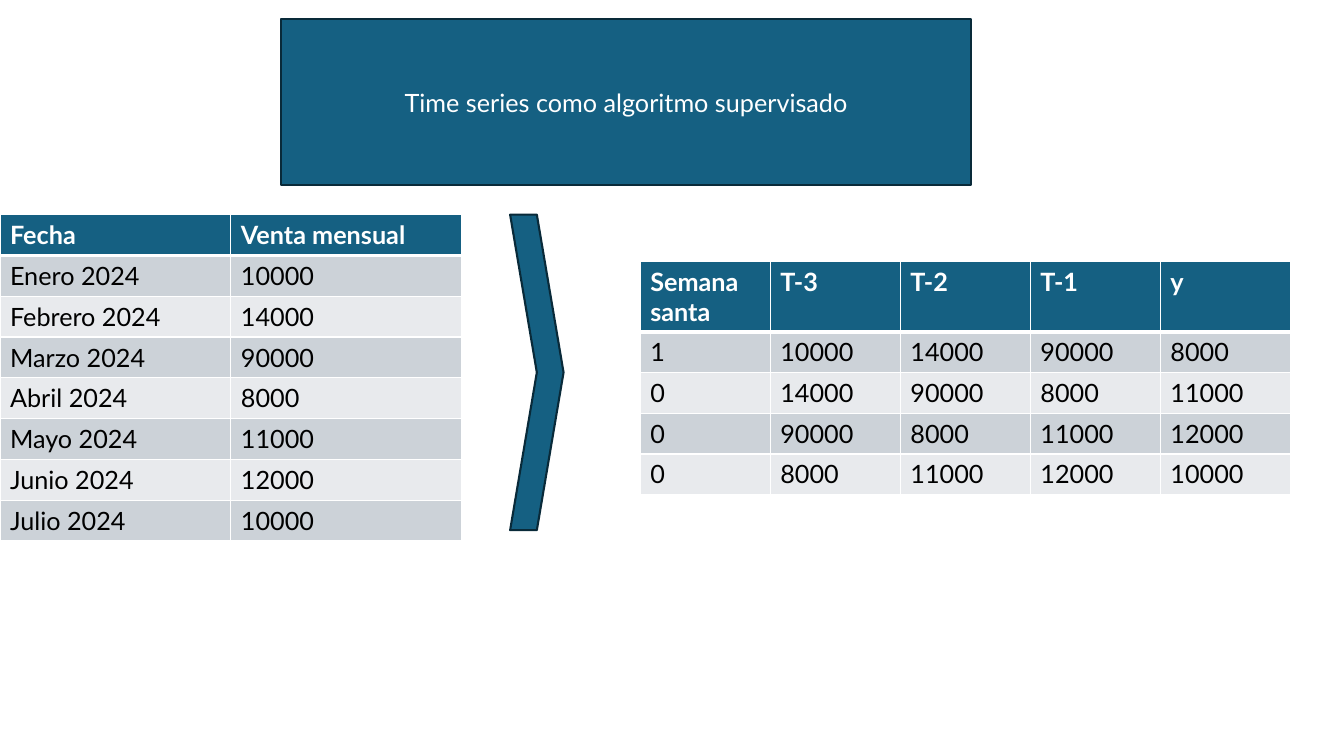
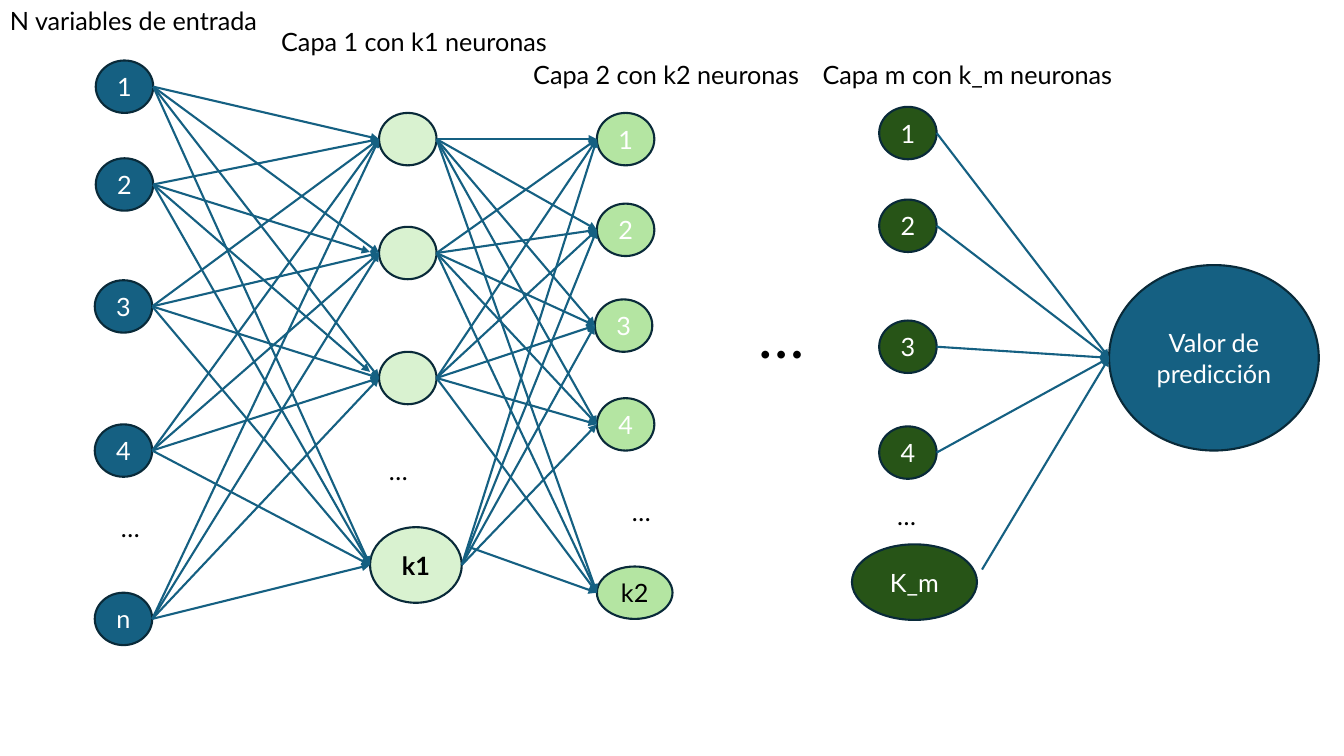
import itertools

import lxml.etree
import pptx
import pptx.dml.color
import pptx.enum.shapes
import pptx.enum.text
import pptx.oxml.ns
import pptx.util

Inches = pptx.util.Inches
RGBColor = pptx.dml.color.RGBColor
ALIGN = pptx.enum.text.PP_ALIGN
ANCHOR = pptx.enum.text.MSO_ANCHOR
SHAPE = pptx.enum.shapes.MSO_SHAPE
qn = pptx.oxml.ns.qn

BLUE = RGBColor(0x15, 0x60, 0x82)
OUTLINE = RGBColor(0x09, 0x2A, 0x39)
WHITE = RGBColor(0xFF, 0xFF, 0xFF)
BLACK = RGBColor(0x00, 0x00, 0x00)
BAND_DARK = RGBColor(0xCC, 0xD2, 0xD8)
BAND_LIGHT = RGBColor(0xE8, 0xEA, 0xED)
GREEN_PALE = RGBColor(0xD9, 0xF2, 0xD0)
GREEN_LIGHT = RGBColor(0xB4, 0xE5, 0xA2)
GREEN_DARK = RGBColor(0x27, 0x54, 0x17)
FONT = "Lato"
LINE_WIDTH = pptx.util.Pt(1.5)
ROW_HEIGHT = Inches(3.24 / 8)


def write(text_frame, text, size=18, color=BLACK, bold=False, align=ALIGN.LEFT, anchor=ANCHOR.TOP):
    text_frame.word_wrap = True
    text_frame.vertical_anchor = anchor
    paragraph = text_frame.paragraphs[0]
    paragraph.alignment = align
    run = paragraph.add_run()
    run.text = text
    run.font.name = FONT
    run.font.size = pptx.util.Pt(size)
    run.font.bold = bold
    run.font.color.rgb = color


def paint(shape, fill):
    shape.shadow.inherit = False
    shape.fill.solid()
    shape.fill.fore_color.rgb = fill
    shape.line.color.rgb = OUTLINE
    shape.line.width = LINE_WIDTH


presentation = pptx.Presentation()
presentation.slide_width = Inches(13.33)
presentation.slide_height = Inches(7.5)
title_only_layout = presentation.slide_layouts[5]
blank_layout = presentation.slide_layouts[6]

slide = presentation.slides.add_slide(title_only_layout)
title = slide.shapes.title
title.left, title.top = Inches(2.79), Inches(0.19)
title.width, title.height = Inches(6.84), Inches(1.65)
title.text_frame.auto_size = pptx.enum.text.MSO_AUTO_SIZE.NONE
write(title.text_frame, "Time series como algoritmo supervisado",
      color=WHITE, align=ALIGN.CENTER, anchor=ANCHOR.MIDDLE)
chevron = slide.shapes.add_shape(
    SHAPE.CHEVRON, Inches(5.06), Inches(2.13), Inches(0.53), Inches(3.13))
for shape in (title, chevron):
    paint(shape, BLUE)

monthly_sales = [
    ("Fecha", "Venta mensual"),
    ("Enero 2024", "10000"),
    ("Febrero 2024", "14000"),
    ("Marzo 2024", "90000"),
    ("Abril 2024", "8000"),
    ("Mayo 2024", "11000"),
    ("Junio 2024", "12000"),
    ("Julio 2024", "10000"),
]
lagged_sales = [
    ("Semana santa", "T-3", "T-2", "T-1", "y"),
    ("1", "10000", "14000", "90000", "8000"),
    ("0", "14000", "90000", "8000", "11000"),
    ("0", "90000", "8000", "11000", "12000"),
    ("0", "8000", "11000", "12000", "10000"),
]
tables = [
    (monthly_sales, 0, 2.13, 4.58, 3.24),
    (lagged_sales, 6.35, 2.59, 6.45, 2.32),
]
for rows, left, top, width, height in tables:
    table = slide.shapes.add_table(
        len(rows), len(rows[0]), Inches(left), Inches(top), Inches(width), Inches(height)).table
    for row in table.rows:
        row.height = ROW_HEIGHT
    table.rows[0].height = Inches(height) - ROW_HEIGHT * (len(rows) - 1)
    for row_index, values in enumerate(rows):
        header = row_index == 0
        fill = BLUE if header else (BAND_LIGHT, BAND_DARK)[row_index % 2]
        border_widths = {
            "a:lnL": 1,
            "a:lnR": 1,
            "a:lnT": 3 if row_index == 1 else 1,
            "a:lnB": 3 if header else 1,
        }
        for column_index, value in enumerate(values):
            cell = table.cell(row_index, column_index)
            write(cell.text_frame, value, color=WHITE if header else BLACK, bold=header)
            properties = cell._tc.get_or_add_tcPr()
            for tag, border_width in border_widths.items():
                border = lxml.etree.SubElement(
                    properties, qn(tag), w=str(pptx.util.Pt(border_width)))
                border_fill = lxml.etree.SubElement(border, qn("a:solidFill"))
                lxml.etree.SubElement(border_fill, qn("a:srgbClr"), val=str(WHITE))
            cell.fill.solid()
            cell.fill.fore_color.rgb = fill

slide = presentation.slides.add_slide(blank_layout)
labels = [
    ("N variables de entrada", 0, 0.05, 2.65, 0.3, 18),
    ("Capa 1 con k1 neuronas", 2.69, 0.26, 2.85, 0.3, 18),
    ("Capa 2 con k2 neuronas", 5.19, 0.59, 2.85, 0.3, 18),
    ("Capa m con k_m neuronas", 8.06, 0.59, 3.1, 0.3, 18),
    ("…", 1.1, 5.08, 0.5, 0.3, 18),
    ("…", 3.76, 4.52, 0.5, 0.3, 18),
    ("…", 6.17, 4.92, 0.5, 0.3, 18),
    ("…", 8.8, 4.96, 0.5, 0.3, 18),
    ("…", 7.42, 2.95, 0.9, 0.74, 44),
]
for text, left, top, width, height, size in labels:
    text_box = slide.shapes.add_textbox(Inches(left), Inches(top), Inches(width), Inches(height))
    text_frame = text_box.text_frame
    text_frame.margin_top = text_frame.margin_bottom = 0
    write(text_frame, text, size=size)
    text_frame.auto_size = pptx.enum.text.MSO_AUTO_SIZE.SHAPE_TO_FIT_TEXT

NEURON = (0.57, 0.52)
layers = {
    "input": (BLUE, [
        ("1", 0.95, 0.6, NEURON), ("2", 0.95, 1.57, NEURON), ("3", 0.94, 2.78, NEURON),
        ("4", 0.94, 4.21, NEURON), ("n", 0.94, 5.88, NEURON)]),
    "first": (GREEN_PALE, [
        ("", 3.76, 1.12, NEURON), ("", 3.76, 2.25, NEURON), ("", 3.76, 3.49, NEURON),
        ("k1", 3.67, 5.23, (0.91, 0.75))]),
    "second": (GREEN_LIGHT, [
        ("1", 5.92, 1.12, NEURON), ("2", 5.92, 2.02, NEURON), ("3", 5.9, 2.97, NEURON),
        ("4", 5.92, 3.95, NEURON), ("k2", 5.92, 5.62, (0.75, 0.52))]),
    "last": (GREEN_DARK, [
        ("1", 8.72, 1.06, NEURON), ("2", 8.72, 1.98, NEURON), ("3", 8.72, 3.18, NEURON),
        ("4", 8.72, 4.23, NEURON), ("K_m", 8.45, 5.4, (1.24, 0.75))]),
    "output": (BLUE, [("Valor de predicción", 11, 2.63, (2.08, 1.84))]),
}
for fill, neurons in layers.values():
    for text, left, top, (width, height) in neurons:
        neuron = slide.shapes.add_shape(
            SHAPE.OVAL, Inches(left), Inches(top), Inches(width), Inches(height))
        paint(neuron, fill)
        if text:
            text_frame = neuron.text_frame
            text_frame.margin_left = text_frame.margin_right = 0
            text_frame.margin_top = text_frame.margin_bottom = 0
            write(text_frame, text, color=BLACK if text in ("k1", "k2") else WHITE,
                  bold=text == "k1", align=ALIGN.CENTER, anchor=ANCHOR.MIDDLE)

shifted_starts = {("first", 3, 4): (4.66, 5.43), ("last", 4, 0): (9.74, 5.65)}
shifted_ends = {("input", 1, 1): (3.67, 2.5), ("input", 1, 2): (3.67, 3.69)}
for source, target in (("input", "first"), ("first", "second"), ("last", "output")):
    pairs = itertools.product(enumerate(layers[source][1]), enumerate(layers[target][1]))
    for (start_index, start), (end_index, end) in pairs:
        _, start_left, start_top, (start_width, start_height) = start
        _, end_left, end_top, (_, end_height) = end
        key = (source, start_index, end_index)
        start_point = shifted_starts.get(
            key, (start_left + start_width, start_top + start_height / 2))
        end_point = shifted_ends.get(key, (end_left, end_top + end_height / 2))
        connector = slide.shapes.add_connector(
            pptx.enum.shapes.MSO_CONNECTOR.STRAIGHT,
            *(Inches(length) for length in start_point + end_point))
        connector.line.color.rgb = BLUE
        connector.line.width = LINE_WIDTH
        lxml.etree.SubElement(connector.line._get_or_add_ln(), qn("a:tailEnd"), type="triangle")
        lxml.etree.SubElement(connector._element.spPr, qn("a:effectLst"))

presentation.save("out.pptx")
